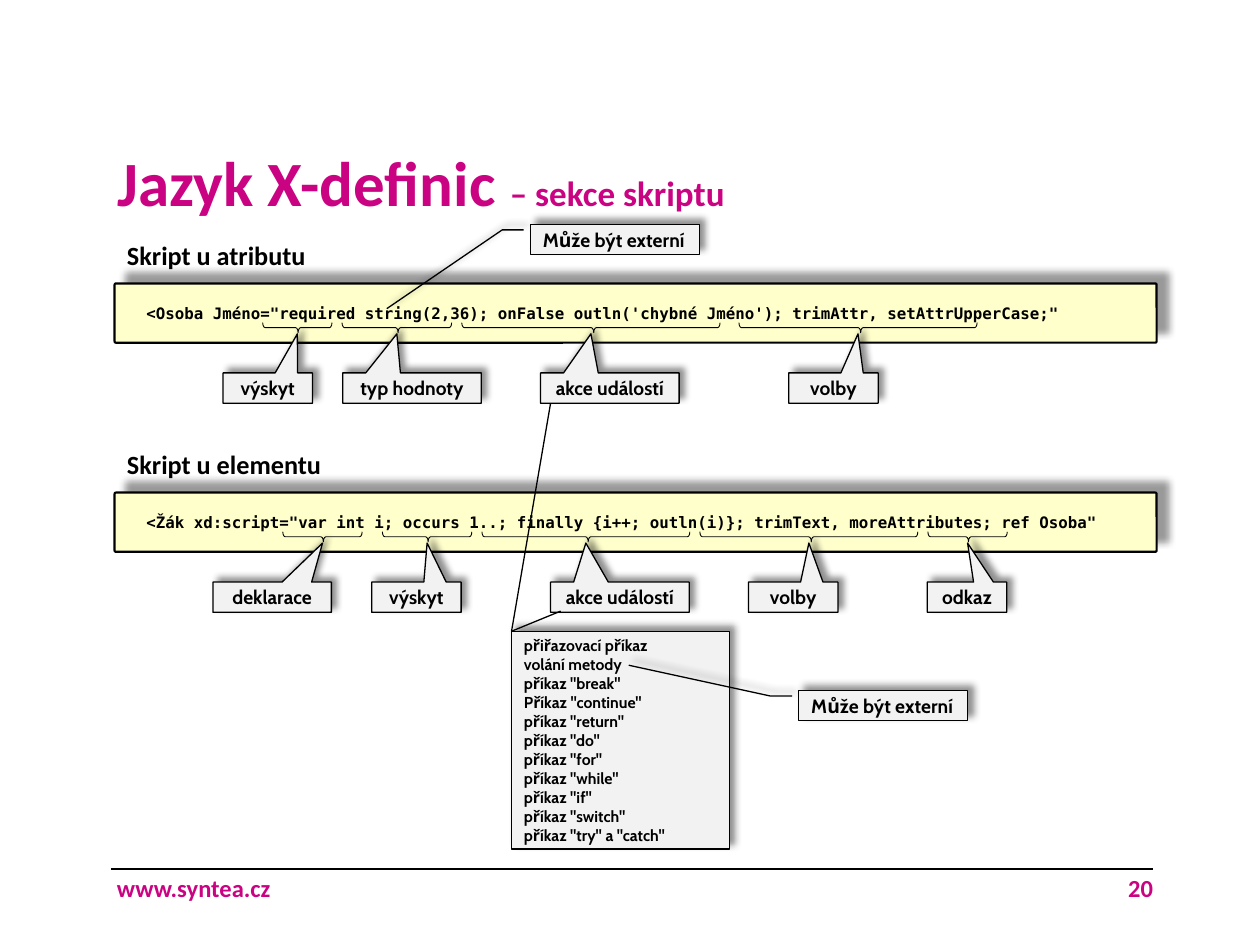
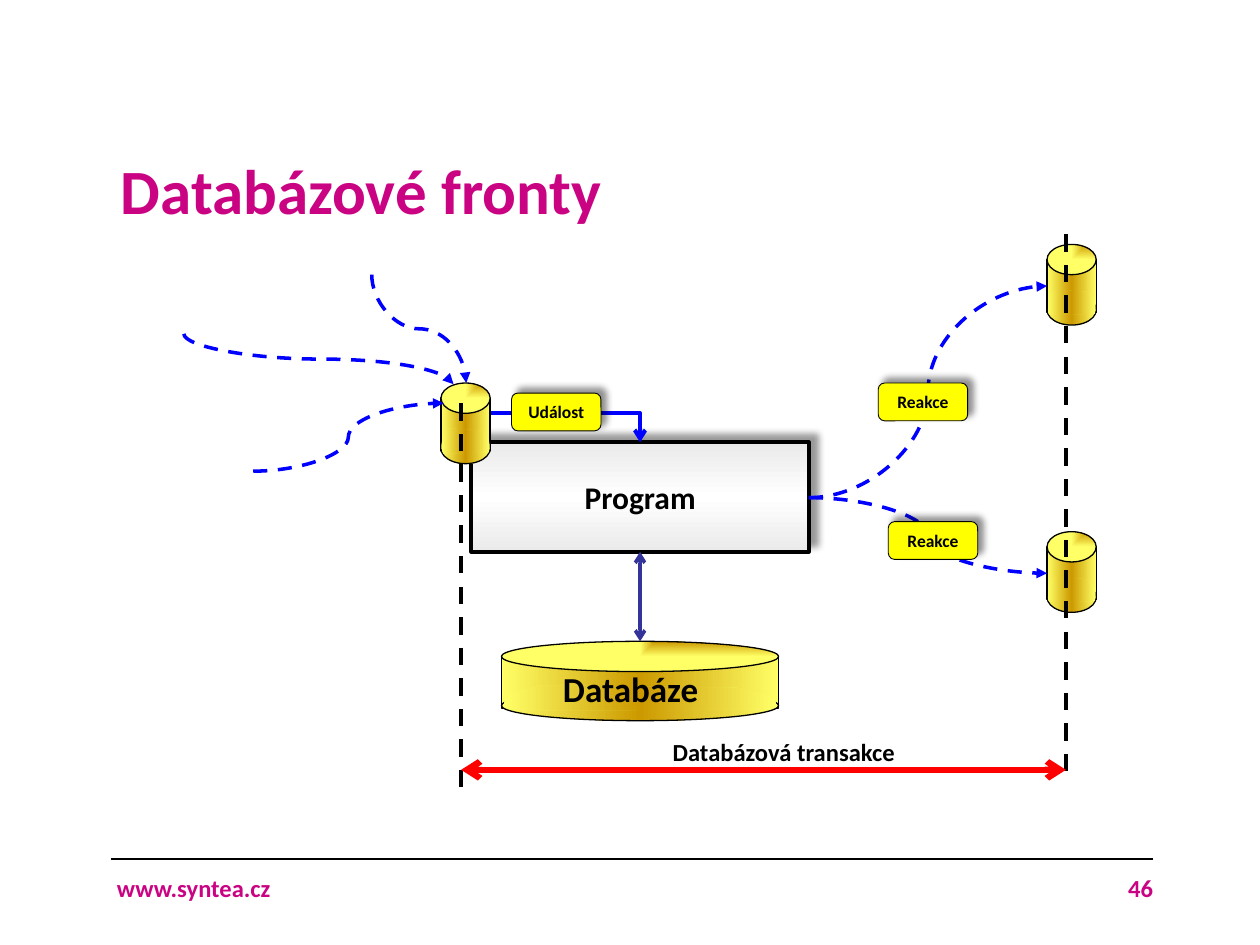
from typing import NamedTuple

from lxml.etree import SubElement
from pptx import Presentation
from pptx.dml.color import RGBColor
from pptx.enum.dml import MSO_LINE
from pptx.enum.shapes import MSO_CONNECTOR as Link, MSO_SHAPE as Preset
from pptx.enum.text import MSO_ANCHOR as Anchor, MSO_AUTO_SIZE as AutoSize, PP_ALIGN as Align
from pptx.oxml.ns import qn
from pptx.util import Inches, Pt


class Theme:
    accent = "CA0383"
    black = "000000"
    code_band = "FFFFCC"
    label = "F2F2F2"
    badge = "FFFF00"
    flow = "0000FF"
    exchange = "333399"
    transaction = "FF0000"
    steel = ((0, "EAEAEA"), (50, "FFFFFF"), (100, "EAEAEA"))
    gold = ((0, "FFFF66"), (50, "CC9900"), (100, "FFFF66"))
    gold_lid = ((0, "CC9900"), (100, "FFFF66"))
    heading_font = "Calibri"
    label_font = "Cabin"
    code_font = "DejaVu Sans Mono"
    title_size, subtitle_size = 36, 20
    database_size, program_size = 20, 18
    section_size, footer_size = 15, 14
    label_size, badge_size, code_size = 11, 10, 9


class Box(NamedTuple):
    left: float
    top: float
    width: float
    height: float

    def inches(self):
        return [Inches(value) for value in self]


class TextStyle(NamedTuple):
    size: float
    font: str = Theme.heading_font
    color: str = Theme.black
    align: Align = Align.LEFT
    anchor: Anchor = Anchor.MIDDLE


LABEL = TextStyle(Theme.label_size, Theme.label_font)
CENTERED_LABEL = LABEL._replace(align=Align.CENTER)
FOOTER = TextStyle(Theme.footer_size, color=Theme.accent)
SECTION = TextStyle(Theme.section_size, anchor=Anchor.TOP)


def rgb(color):
    return RGBColor.from_string(color)


def add_run(paragraph, text, style, size=None):
    run = paragraph.add_run()
    run.text = text
    run.font.size = Pt(size or style.size)
    run.font.name = style.font
    run.font.bold = True
    run.font.color.rgb = rgb(style.color)


def write(shape, lines, style, wrap=True):
    frame = shape.text_frame
    frame.word_wrap = wrap
    frame.vertical_anchor = style.anchor
    for index, line in enumerate(lines):
        paragraph = frame.add_paragraph() if index else frame.paragraphs[0]
        paragraph.alignment = style.align
        add_run(paragraph, line, style)


def add_text(slide, box, text, style, wrap=True):
    write(slide.shapes.add_textbox(*box.inches()), [text], style, wrap)


def add_shadow(shape, opacity=43, distance=4):
    effects = shape.element.spPr.find(qn("a:effectLst"))
    shadow = SubElement(effects, qn("a:outerShdw"), blurRad=str(Pt(4)), dist=str(Pt(distance)),
                        dir=str(315 * 60000), algn="bl", rotWithShape="0")
    color = SubElement(shadow, qn("a:srgbClr"), val=Theme.black)
    SubElement(color, qn("a:alpha"), val=str(opacity * 1000))


def fill_gradient(shape, stops, angle=0, corner=False):
    shape.fill.background()
    properties = shape.element.spPr
    empty = properties.find(qn("a:noFill"))
    gradient = SubElement(properties, qn("a:gradFill"), rotWithShape="1")
    stop_list = SubElement(gradient, qn("a:gsLst"))
    for position, color in stops:
        stop = SubElement(stop_list, qn("a:gs"), pos=str(position * 1000))
        SubElement(stop, qn("a:srgbClr"), val=color)
    if corner:
        route = SubElement(gradient, qn("a:path"), path="rect")
        SubElement(route, qn("a:fillToRect"), l="100000", b="100000")
    else:
        SubElement(gradient, qn("a:lin"), ang=str(angle * 60000), scaled="1")
    properties.replace(empty, gradient)


def add_preset(shapes, preset, box, fill=None, line=0.75, adjustments=()):
    shape = shapes.add_shape(preset, *box.inches())
    shape.shadow.inherit = False
    if fill:
        shape.fill.solid()
        shape.fill.fore_color.rgb = rgb(fill)
    else:
        shape.fill.background()
    shape.line.color.rgb = rgb(Theme.black)
    shape.line.width = Pt(line)
    for index, value in enumerate(adjustments):
        shape.adjustments[index] = value
    return shape


def add_link(slide, start, end, color=Theme.black, width=0.75, kind=Link.STRAIGHT,
             dashed=False, head=None, tail=None):
    points = [Inches(value) for value in (*start, *end)]
    link = slide.shapes.add_connector(kind, *points)
    link.line.color.rgb = rgb(color)
    link.line.width = Pt(width)
    if dashed:
        link.line.dash_style = MSO_LINE.DASH
    outline = link.line._get_or_add_ln()
    for tag, arrow in (("a:headEnd", head), ("a:tailEnd", tail)):
        if arrow:
            SubElement(outline, qn(tag), type=arrow)
    SubElement(link.element.spPr, qn("a:effectLst"))
    return link


def add_flow(slide, start, end, downward=False):
    link = add_link(slide, start, end, Theme.flow, 2, Link.CURVE, dashed=True, tail="triangle")
    if downward:
        across, down = end[0] - start[0], end[1] - start[1]
        link.left = Inches((start[0] + end[0] - down) / 2)
        link.top = Inches((start[1] + end[1] - across) / 2)
        link.width, link.height = Inches(down), Inches(across)
        frame = link.element.spPr.xfrm
        frame.set("rot", str(270 * 60000))
        frame.set("flipH", "1")


def start_slide(presentation, box, title, number, rule_top, subtitle=None):
    slide = presentation.slides.add_slide(presentation.slide_layouts[5])
    heading = slide.shapes.title
    heading.left, heading.top, heading.width, heading.height = box.inches()
    frame = heading.text_frame
    frame.auto_size = AutoSize.NONE
    frame.word_wrap = True
    frame.vertical_anchor = Anchor.TOP
    frame.margin_left = frame.margin_right = frame.margin_bottom = Inches(0.04)
    frame.margin_top = 0
    paragraph = frame.paragraphs[0]
    paragraph.alignment = Align.LEFT
    paragraph.line_spacing = 1.2
    style = TextStyle(Theme.title_size, color=Theme.accent)
    add_run(paragraph, title, style)
    if subtitle:
        add_run(paragraph, subtitle, style, Theme.subtitle_size)
    add_link(slide, (0.88, rule_top), (9.15, rule_top), width=1.25)
    add_text(slide, Box(0.83, 6.59, 7.48, 0.91), "www.syntea.cz", FOOTER)
    add_text(slide, Box(8.31, 6.59, 0.94, 0.91), number, FOOTER._replace(align=Align.RIGHT))
    return slide


def add_script_section(slide, box, heading, code, parts):
    add_text(slide, Box(box.left, box.top - 0.4, 1.76, 0.35), heading, SECTION, wrap=False)
    band = add_preset(slide.shapes, Preset.ROUNDED_RECTANGLE, box, Theme.code_band, 1.25, [0.022])
    add_shadow(band, 40, 9)
    write(band, [code], TextStyle(Theme.code_size, Theme.code_font))
    for label, middle, span, left, width in parts:
        brace_box = Box(middle - 0.04, box.top + 0.35 - span / 2, 0.08, span)
        brace = add_preset(slide.shapes, Preset.LEFT_BRACE, brace_box, line=0.5,
                           adjustments=[0.242, 0.489])
        brace.rotation = 90
        brace.element.spPr.xfrm.set("flipH", "1")
        label_box = Box(left, box.top + 0.71, width, 0.24)
        tip = ((middle - left) / width - 0.5, (0.4 - 0.71) / 0.24 - 0.5)
        callout = add_preset(slide.shapes, Preset.RECTANGULAR_CALLOUT, label_box, Theme.label,
                             adjustments=tip)
        add_shadow(callout)
        write(callout, [label], CENTERED_LABEL)


def add_external_note(slide, box, target):
    reach = ((target[1] - box.top) / box.height, (target[0] - box.left) / box.width)
    note = add_preset(slide.shapes, Preset.LINE_CALLOUT_2, box, Theme.label,
                      adjustments=[0.188, -0.04, 0.188, -0.167, *reach])
    add_shadow(note)
    write(note, ["Může být externí"], LABEL)


def add_command_list(slide, box, sources):
    commands = ["přiřazovací příkaz", "volání metody", 'příkaz "break"', 'Příkaz "continue"',
                'příkaz "return"', 'příkaz "do"', 'příkaz "for"', 'příkaz "while"',
                'příkaz "if"', 'příkaz "switch"', 'příkaz "try" a "catch"']
    panel = add_preset(slide.shapes, Preset.RECTANGLE, box, Theme.label)
    add_shadow(panel)
    write(panel, commands, LABEL._replace(size=Theme.code_size))
    for source in sources:
        add_link(slide, source, (box.left, box.top))


def add_cylinder(slide, box):
    shapes = slide.shapes.add_group_shape().shapes
    cap = 0.24
    base_top = box.top + box.height - cap
    body = add_preset(shapes, Preset.RECTANGLE,
                      Box(box.left, box.top + cap / 2, box.width, box.height - cap + 0.02))
    base = add_preset(shapes, Preset.OVAL, Box(box.left, base_top, box.width, cap))
    outline = [(0.04, 0.02), (0.01, 0.09), (0.01, 0.12), (0.05, 0.16), (0.97, 0.15),
               (0.99, 0.12), (0.99, 0.09), (0.97, 0.05), (0.85, -0.02), (0.14, -0.04)]
    points = [(Inches(box.left + x * box.width), Inches(base_top + y)) for x, y in outline]
    builder = shapes.build_freeform(*points[0])
    builder.add_line_segments(points[1:], close=True)
    seam = builder.convert_to_shape()
    seam.shadow.inherit = False
    seam.line.fill.background()
    for part in (body, base, seam):
        fill_gradient(part, Theme.gold)
    lid = add_preset(shapes, Preset.OVAL, Box(box.left, box.top, box.width, cap))
    fill_gradient(lid, Theme.gold_lid, corner=True)


def add_badge(slide, left, top, text):
    badge = add_preset(slide.shapes, Preset.ROUNDED_RECTANGLE, Box(left, top, 0.71, 0.3),
                       Theme.badge, 0.5)
    add_shadow(badge)
    write(badge, [text], TextStyle(Theme.badge_size, align=Align.CENTER))


def add_program(slide, box):
    program = add_preset(slide.shapes, Preset.RECTANGLE, box, line=2)
    fill_gradient(program, Theme.steel, angle=90)
    add_shadow(program, 40, 6)
    write(program, ["Program"], TextStyle(Theme.program_size, align=Align.CENTER))


def add_transaction_span(slide, box):
    right, bottom = box.left + box.width, box.top + box.height
    add_link(slide, (box.left, 3.2), (box.left, 6.27), width=2.5, dashed=True)
    add_link(slide, (right, box.top), (right, 6.19), width=2.5, dashed=True)
    add_link(slide, (box.left, bottom), (right, bottom), Theme.transaction, 3.5,
             head="arrow", tail="arrow")
    add_text(slide, Box(box.left + 1.58, bottom - 0.31, 1.97, 0.34), "Databázová transakce",
             TextStyle(Theme.footer_size, anchor=Anchor.TOP))


def build_script_slide(presentation):
    slide = start_slide(presentation, Box(0.89, 1.02, 8.59, 0.7), "Jazyk X-definic ", "20", 6.9,
                        "– sekce skriptu")
    add_script_section(
        slide, Box(0.91, 2.25, 8.27, 0.47), "Skript u atributu",
        "  <Osoba Jméno=\"required string(2,36); onFalse outln('chybné Jméno'); "
        "trimAttr, setAttrUpperCase;\"",
        [("výskyt", 2.36, 0.55, 1.77, 0.71), ("typ hodnoty", 3.15, 0.87, 2.72, 1.1),
         ("akce událostí", 4.69, 2.05, 4.29, 1.1), ("volby", 6.81, 1.89, 6.26, 0.71)])
    add_script_section(
        slide, Box(0.91, 3.91, 8.27, 0.47), "Skript u elementu",
        '  <Žák xd:script="var int i; occurs 1..; finally {i++; outln(i)}; '
        'trimText, moreAttributes; ref Osoba"',
        [("deklarace", 2.56, 0.63, 1.69, 0.94), ("výskyt", 3.39, 0.71, 2.95, 0.71),
         ("akce událostí", 4.65, 1.65, 4.37, 1.1), ("volby", 6.42, 1.73, 5.94, 0.71),
         ("odkaz", 7.68, 0.63, 7.36, 0.63)])
    add_command_list(slide, Box(4.06, 5.01, 1.73, 1.73), [(4.37, 3.2), (4.45, 4.85)])
    add_external_note(slide, Box(4.21, 1.78, 1.34, 0.24), (3.07, 2.45))
    add_external_note(slide, Box(6.34, 5.48, 1.34, 0.24), (4.99, 5.28))


def build_queue_slide(presentation):
    slide = start_slide(presentation, Box(0.92, 1.08, 8.59, 0.7), "Databázové fronty", "46", 6.82)
    add_program(slide, Box(3.74, 3.51, 2.68, 0.87))
    for left, top in ((3.5, 3.04), (8.31, 1.94), (8.31, 4.22)):
        add_cylinder(slide, Box(left, top, 0.39, 0.64))
    add_flow(slide, (1.46, 2.65), (3.6, 3.05), downward=True)
    add_flow(slide, (2.95, 2.18), (3.7, 3.04), downward=True)
    add_flow(slide, (2.01, 3.74), (3.52, 3.2))
    for queue_top in (2.27, 4.55):
        add_flow(slide, (6.42, 3.95), (8.31, queue_top))
    add_cylinder(slide, Box(3.98, 5.09, 2.2, 0.63))
    add_text(slide, Box(4.37, 5.25, 1.34, 0.44), "Databáze",
             TextStyle(Theme.database_size, anchor=Anchor.TOP))
    add_link(slide, (5.08, 4.38), (5.08, 5.09), Theme.exchange, 2, head="arrow", tail="arrow")
    add_transaction_span(slide, Box(3.66, 1.86, 4.8, 4.25))
    event = add_link(slide, (3.9, 3.28), (5.08, 3.51), Theme.flow, 2.25, Link.ELBOW, tail="arrow")
    event.element.spPr.find(qn("a:prstGeom")).set("prst", "bentConnector2")
    for left, top, text in ((4.06, 3.12, "Událost"), (6.97, 3.04, "Reakce"), (7.05, 4.14, "Reakce")):
        add_badge(slide, left, top, text)


def main():
    presentation = Presentation()
    presentation.slide_width, presentation.slide_height = Inches(10), Inches(7.5)
    build_script_slide(presentation)
    build_queue_slide(presentation)
    presentation.save("out.pptx")


if __name__ == "__main__":
    main()
